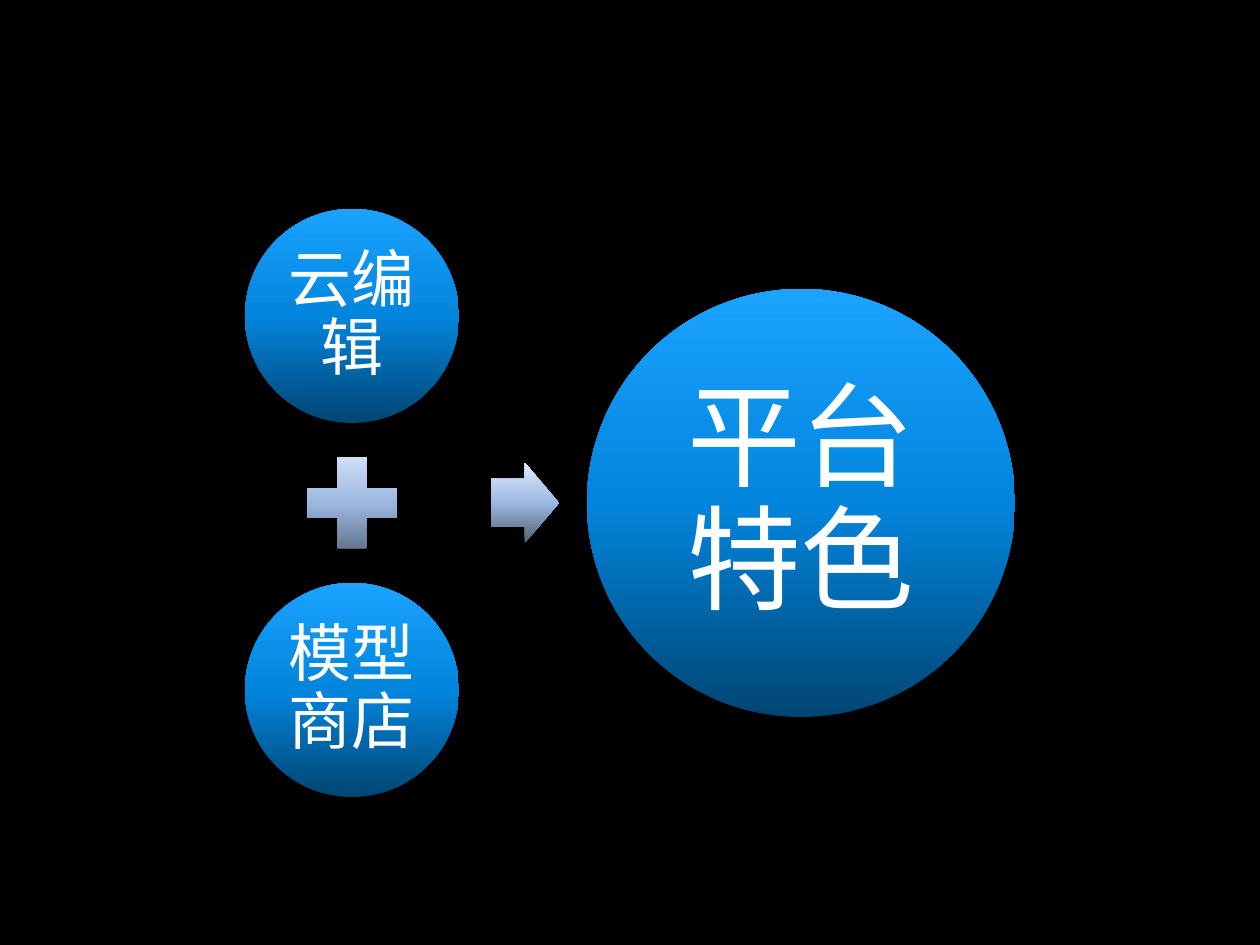
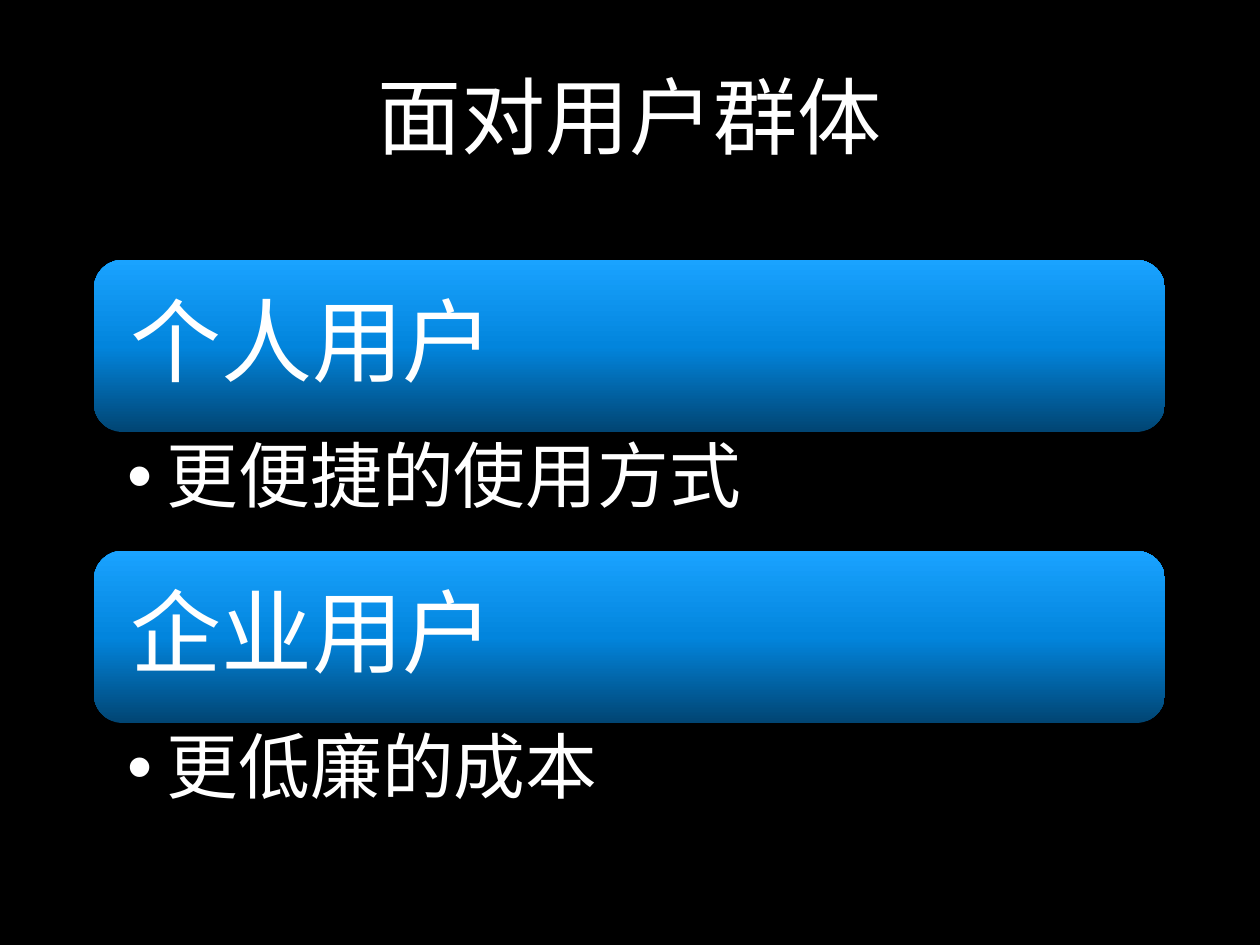
from copy import deepcopy
from dataclasses import dataclass

from lxml import etree
from pptx import Presentation
from pptx import util as u
from pptx.dml.color import RGBColor
from pptx.enum import shapes, text
from pptx.oxml.ns import qn

PX = 914400 / 126
BLANK_LAYOUT, TWO_CONTENT_LAYOUT = 6, 3


@dataclass(frozen=True)
class Theme:
    font: str = "Lato"
    background: str = "000000"
    ink: str = "FFFFFF"
    blue: tuple = ("014573", "0285DD", "1AA3FF")
    steel: tuple = ("516075", "9CB8E0", "E0ECFF")
    title_size: int = 48
    part_size: int = 36
    result_size: int = 65
    band_size: int = 52
    bullet_size: int = 41
    line_spacing: float = 0.9


THEME = Theme()


def px(length):
    return u.Emu(round(length * PX))


def place(shape, left, top, width, height):
    shape.left, shape.top = px(left), px(top)
    shape.width, shape.height = px(width), px(height)


def write(shape, words, *, size, align=text.PP_ALIGN.LEFT,
          anchor=text.MSO_ANCHOR.MIDDLE, insets=(13, 6, 13, 6),
          spacing=THEME.line_spacing):
    """Fill a shape with one paragraph; insets run left, top, right, bottom."""
    frame = shape.text_frame
    frame.word_wrap = True
    frame.auto_size = text.MSO_AUTO_SIZE.NONE
    frame.vertical_anchor = anchor
    (frame.margin_left, frame.margin_top,
     frame.margin_right, frame.margin_bottom) = map(px, insets)
    paragraph = frame.paragraphs[0]
    paragraph.alignment = align
    paragraph.line_spacing = spacing
    paragraph.space_before = u.Pt(0)
    run = paragraph.add_run()
    run.text = words
    run.font.name = THEME.font
    run.font.size = u.Pt(size)
    run.font.color.rgb = RGBColor.from_string(THEME.ink)
    return paragraph


def fill_upward(shape, colors):
    """Blend three colours evenly from the bottom edge to the top."""
    shape.fill.gradient()
    shape.fill.gradient_angle = 90
    stop_list = shape._element.spPr.find(".//" + qn("a:gsLst"))
    stop_list.insert(1, deepcopy(stop_list[0]))
    for index, (stop, color) in enumerate(zip(shape.fill.gradient_stops, colors)):
        stop.position = index / 2
        stop.color.rgb = RGBColor.from_string(color)


def add_gradient_shape(slide, kind, colors, left, top, width, height):
    shape = slide.shapes.add_shape(kind, *map(px, (left, top, width, height)))
    shape.shadow.inherit = False
    shape.line.fill.background()
    fill_upward(shape, colors)
    return shape


def add_circle(slide, words, center_x, center_y, diameter, *, size, inset):
    circle = add_gradient_shape(
        slide, shapes.MSO_SHAPE.OVAL, THEME.blue,
        center_x - diameter / 2, center_y - diameter / 2, diameter, diameter)
    write(circle, words, size=size, align=text.PP_ALIGN.CENTER, insets=(inset,) * 4)


def add_band(slide, words, left, top, width, height):
    band = add_gradient_shape(slide, shapes.MSO_SHAPE.ROUNDED_RECTANGLE,
                              THEME.blue, left, top, width, height)
    write(band, words, size=THEME.band_size, insets=(28,) * 4)


def write_bullet(placeholder, words):
    paragraph = write(placeholder, words, size=THEME.bullet_size,
                      anchor=text.MSO_ANCHOR.TOP, insets=(34, 9, 50, 9))
    properties = paragraph._p.get_or_add_pPr()
    properties.set("marL", str(px(39)))
    properties.set("indent", str(px(-39)))
    etree.SubElement(properties, qn("a:buChar")).set("char", "•")


def build_features(presentation):
    slide = presentation.slides.add_slide(presentation.slide_layouts[BLANK_LAYOUT])
    parts_x, middle_y, part_offset, plus_size = 352, 503, 187, 123
    for words, side in (("云编辑", -1), ("模型商店", 1)):
        add_circle(slide, words, parts_x, middle_y + side * part_offset, 214,
                   size=THEME.part_size, inset=6)
    add_gradient_shape(slide, shapes.MSO_SHAPE.MATH_PLUS, THEME.steel,
                       parts_x - plus_size / 2, middle_y - plus_size / 2,
                       plus_size, plus_size)
    arrow = add_gradient_shape(slide, shapes.MSO_SHAPE.RIGHT_ARROW, THEME.steel,
                               491, middle_y - 40, 68, 80)
    arrow.adjustments[0] = 0.6
    add_circle(slide, "平台特色", 801, middle_y, 428,
               size=THEME.result_size, inset=11)


def build_audiences(presentation):
    slide = presentation.slides.add_slide(
        presentation.slide_layouts[TWO_CONTENT_LAYOUT])
    left, width, first_top, step = 94, 1071, 260, 291
    band_height, bullet_height = 172, 118
    title, *bullets = slide.placeholders
    place(title, left, 16, width, 197)
    write(title, "面对用户群体", size=THEME.title_size,
          align=text.PP_ALIGN.CENTER, spacing=1.0)
    audiences = (("个人用户", "更便捷的使用方式"), ("企业用户", "更低廉的成本"))
    for index, ((audience, benefit), bullet) in enumerate(zip(audiences, bullets)):
        top = first_top + index * step
        add_band(slide, audience, left, top, width, band_height)
        place(bullet, left, top + band_height, width, bullet_height)
        write_bullet(bullet, benefit)


def main():
    presentation = Presentation()
    presentation.slide_width, presentation.slide_height = px(1260), px(945)
    background = presentation.slide_master.background.fill
    background.solid()
    background.fore_color.rgb = RGBColor.from_string(THEME.background)
    build_features(presentation)
    build_audiences(presentation)
    presentation.save("out.pptx")


if __name__ == "__main__":
    main()
